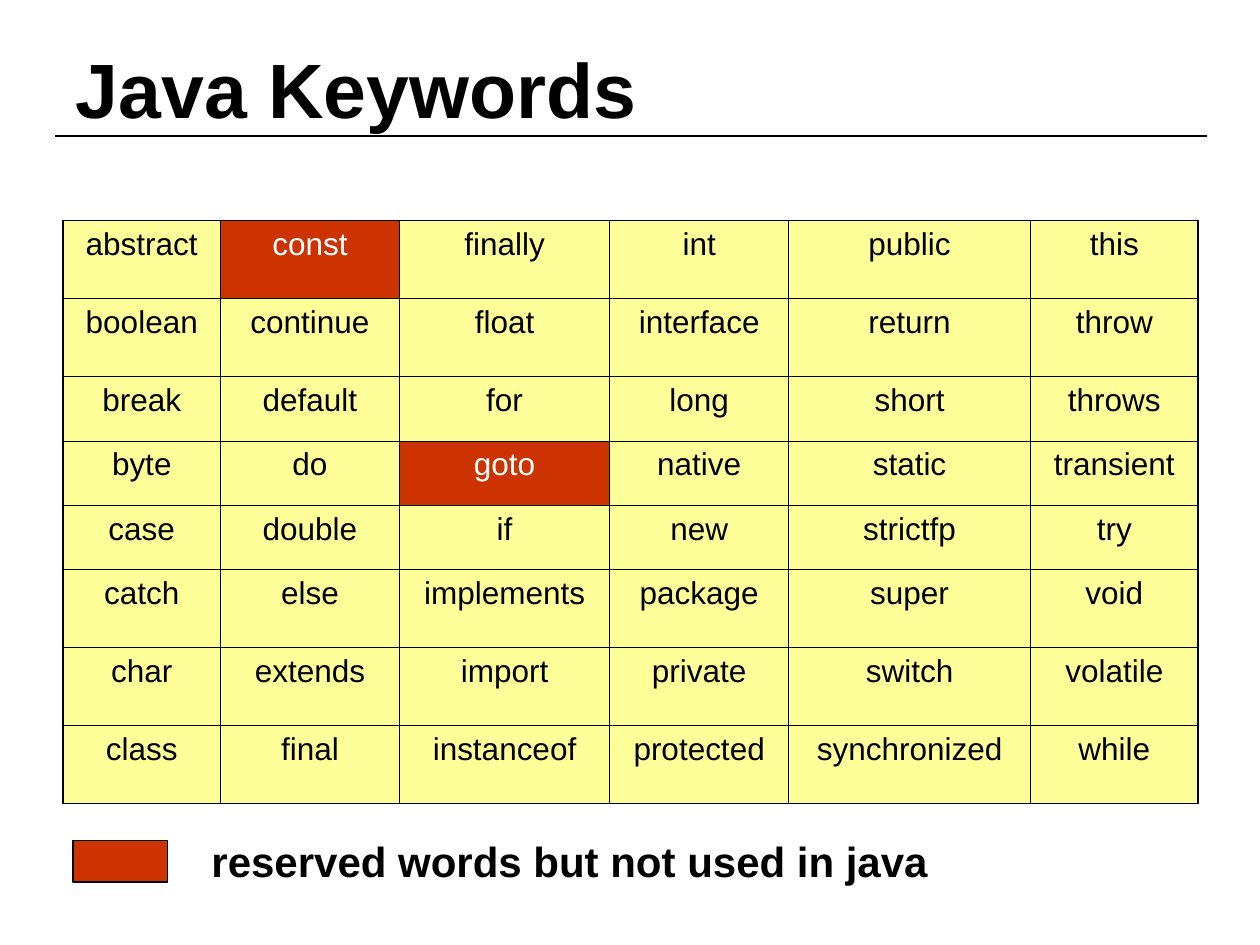
from lxml import etree
from pptx import Presentation
from pptx.dml.color import RGBColor
from pptx.enum.shapes import MSO_CONNECTOR, MSO_SHAPE
from pptx.enum.text import MSO_ANCHOR, MSO_AUTO_SIZE, PP_ALIGN
from pptx.oxml.ns import qn
from pptx.util import Inches, Pt

STRAIGHT = MSO_CONNECTOR.STRAIGHT
RECT = MSO_SHAPE.RECTANGLE
MIDDLE = MSO_ANCHOR.MIDDLE
LEFT, CENTER = PP_ALIGN.LEFT, PP_ALIGN.CENTER
FIXED = MSO_AUTO_SIZE.NONE

FONT = "Arial"
COLORS = {"ink": "000000", "cell": "FFFF99", "mark": "CC3300", "light": "FFFFFF"}
OUTER, INNER = 1.08, 0.45

WORDS = [
    "abstract const finally int public this",
    "boolean continue float interface return throw",
    "break default for long short throws",
    "byte do goto native static transient",
    "case double if new strictfp try",
    "catch else implements package super void",
    "char extends import private switch volatile",
    "class final instanceof protected synchronized while",
]
UNUSED = {"const", "goto"}
WIDTHS = [1.25, 1.42, 1.67, 1.42, 1.92, 1.33]
HEIGHTS = [0.62, 0.62, 0.51, 0.51, 0.51, 0.62, 0.62, 0.62]


def rgb(name):
    return RGBColor.from_string(COLORS[name])


def box(left, top, width, height):
    return Inches(left), Inches(top), Inches(width), Inches(height)


def write(frame, text, size, color="ink", bold=False, align=LEFT):
    para = frame.paragraphs[0]
    para.alignment = align
    run = para.add_run()
    run.text = text
    font = run.font
    font.name, font.size, font.bold = FONT, Pt(size), bold
    font.color.rgb = rgb(color)


def add_title(slide, text):
    title = slide.shapes.title
    title.left, title.top, title.width, title.height = box(0.5, 0.3, 9, 0.79)
    frame = title.text_frame
    frame.auto_size = FIXED
    frame.vertical_anchor = MIDDLE
    write(frame, text, 44, bold=True)


def add_rule(slide, left, right, top):
    rule = slide.shapes.add_connector(
        STRAIGHT, Inches(left), Inches(top), Inches(right), Inches(top))
    rule.line.color.rgb = rgb("ink")
    rule.line.width = Pt(0.75)
    etree.SubElement(rule._element.spPr, qn("a:effectLst"))


def set_edge(cell, side, width):
    props = cell._tc.get_or_add_tcPr()
    edge = etree.SubElement(props, qn(f"a:ln{side}"), w=str(Pt(width)))
    fill = etree.SubElement(edge, qn("a:solidFill"))
    etree.SubElement(fill, qn("a:srgbClr"), val=COLORS["ink"])


def add_grid(slide):
    rows, cols = len(HEIGHTS), len(WIDTHS)
    table = slide.shapes.add_table(
        rows, cols, *box(0.5, 1.75, sum(WIDTHS), sum(HEIGHTS))).table
    table.first_row = table.horz_banding = False
    for col, width in zip(table.columns, WIDTHS):
        col.width = Inches(width)
    for row, height in zip(table.rows, HEIGHTS):
        row.height = Inches(height)
    for r, line in enumerate(WORDS):
        for c, word in enumerate(line.split()):
            cell = table.cell(r, c)
            # Heavier edges around the outside; edges come before the fill
            outside = {"L": c == 0, "R": c == cols - 1,
                       "T": r == 0, "B": r == rows - 1}
            for side, outer in outside.items():
                set_edge(cell, side, OUTER if outer else INNER)
            unused = word in UNUSED
            cell.fill.solid()
            cell.fill.fore_color.rgb = rgb("mark" if unused else "cell")
            write(cell.text_frame, word, 18,
                  "light" if unused else "ink", align=CENTER)


def add_legend(slide, text):
    label = slide.shapes.add_textbox(*box(1.58, 6.58, 6, 0.5))
    label.text_frame.word_wrap = True
    write(label.text_frame, text, 24, bold=True)
    swatch = slide.shapes.add_shape(RECT, *box(0.58, 6.67, 0.75, 0.33))
    swatch.shadow.inherit = False
    swatch.fill.solid()
    swatch.fill.fore_color.rgb = rgb("mark")
    swatch.line.color.rgb = rgb("ink")
    swatch.line.width = Pt(0.75)


def main():
    deck = Presentation()
    deck.slide_width, deck.slide_height = Inches(10), Inches(7.5)
    slide = deck.slides.add_slide(deck.slide_layouts[5])

    # Heading
    add_rule(slide, 0.44, 9.58, 1.08)
    add_title(slide, "Java Keywords")

    # Keywords and key to the marked cells
    add_grid(slide)
    add_legend(slide, "reserved words but not used in java")

    deck.save("out.pptx")


if __name__ == "__main__":
    main()
